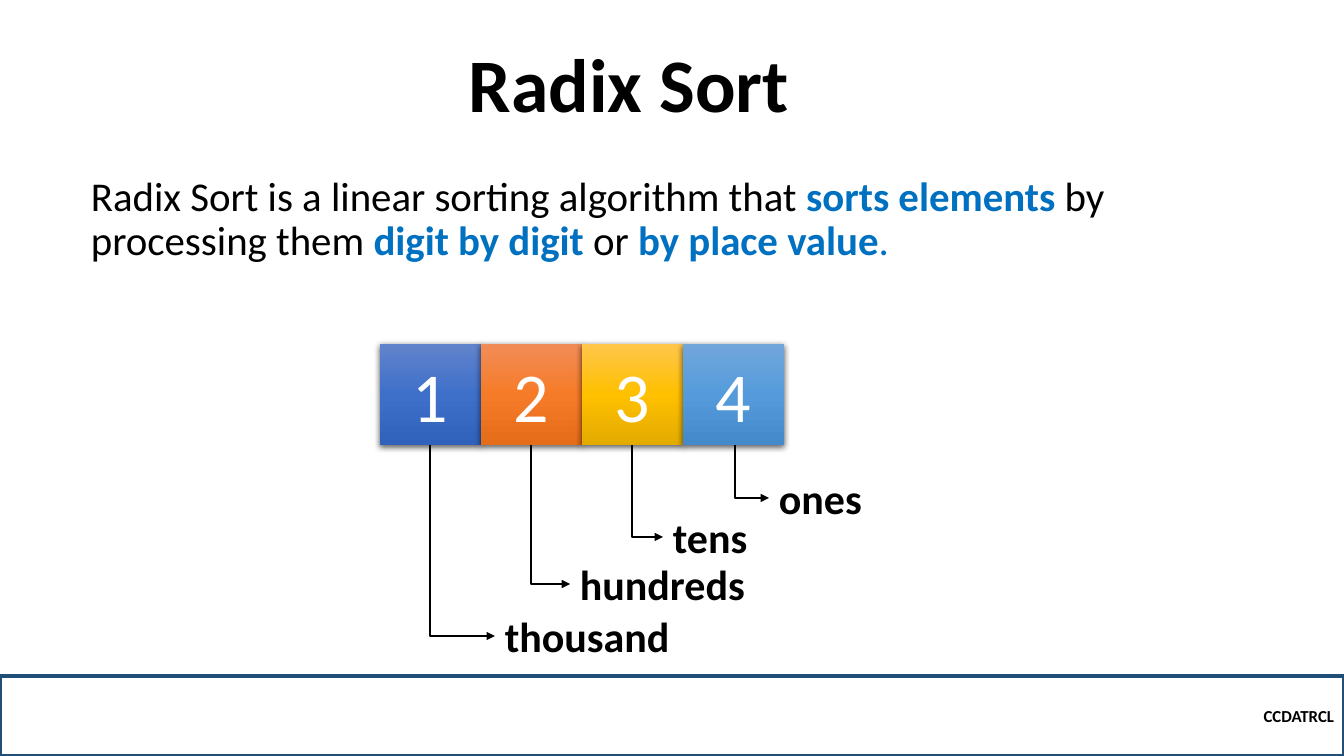
from dataclasses import dataclass

from lxml.etree import SubElement
from pptx import Presentation
from pptx.dml.color import RGBColor
from pptx.enum.shapes import MSO_CONNECTOR, MSO_SHAPE
from pptx.enum.text import MSO_ANCHOR, PP_ALIGN
from pptx.oxml import parse_xml
from pptx.oxml.ns import nsdecls, qn
from pptx.util import Emu, Pt


@dataclass(frozen=True)
class Theme:
    """Font, colours and type sizes of the slide."""
    font: str = "Calibri"
    black: str = "000000"
    white: str = "FFFFFF"
    accent: str = "0070C0"
    footer_line: str = "1F4E79"
    title_size: float = 54
    body_size: float = 29.2
    digit_size: float = 50
    label_size: float = 30
    footer_size: float = 12


theme = Theme()


def pixels(*lengths):
    """Turn pixel lengths into EMU."""
    return [Emu(round(length * 914400 / 100.8)) for length in lengths]


def write(shape, text, size, color, bold=False, align=PP_ALIGN.LEFT, anchor=MSO_ANCHOR.TOP):
    """Fill a shape with one styled paragraph and return the paragraph."""
    frame = shape.text_frame
    frame.word_wrap = True
    frame.vertical_anchor = anchor
    paragraph = frame.paragraphs[0]
    paragraph.text = text
    paragraph.alignment = align
    paragraph.font.name = theme.font
    paragraph.font.size = Pt(size)
    paragraph.font.bold = bold
    paragraph.font.color.rgb = RGBColor.from_string(color)
    return paragraph


presentation = Presentation()
presentation.slide_width, presentation.slide_height = pixels(1344, 756)
slide = presentation.slides.add_slide(presentation.slide_layouts[6])
shapes = slide.shapes

# Title and footer
title = shapes.add_textbox(*pixels(81, 54, 1096, 80))
write(title, "Radix Sort", theme.title_size, theme.black, True,
      PP_ALIGN.CENTER, MSO_ANCHOR.BOTTOM).line_spacing = 0.9

footer = shapes.add_shape(MSO_SHAPE.RECTANGLE, *pixels(0, 676, 1344, 80))
footer.shadow.inherit = False
footer.fill.background()
footer.line.color.rgb = RGBColor.from_string(theme.footer_line)
footer.line.width = Pt(2.25)
write(footer, "CCDATRCL", theme.footer_size, theme.black, True,
      PP_ALIGN.RIGHT, MSO_ANCHOR.MIDDLE)

# Definition
definition = shapes.add_textbox(*pixels(81, 171, 1191, 100))
paragraph = write(definition, "", theme.body_size, theme.black)
paragraph.line_spacing = 0.9
for text, color, bold in (
    ("Radix Sort\u00a0is a linear sorting algorithm that ", theme.black, False),
    ("sorts elements ", theme.accent, True),
    ("by processing them ", theme.black, False),
    ("digit by digit ", theme.accent, True),
    ("or", theme.black, False),
    (" by place value", theme.accent, True),
    (".", theme.accent, False),
):
    run = paragraph.add_run()
    run.text = text
    run.font.bold = bold
    run.font.color.rgb = RGBColor.from_string(color)

# Digit cells: each gradient runs from top to bottom
CELL_LEFT, CELL_TOP, CELL_SIZE = 380, 344, 101
gradients = (
    ("6183CB", "3E70CA", "3062BB"),
    ("F18C57", "F67B28", "E56C19"),
    ("FFC64B", "FFC000", "E3AB00"),
    ("71A6DB", "559BDB", "448ACA"),
)
for index, gradient in enumerate(gradients):
    cell = shapes.add_shape(MSO_SHAPE.RECTANGLE, *pixels(
        CELL_LEFT + index * CELL_SIZE, CELL_TOP, CELL_SIZE, CELL_SIZE))
    cell.line.fill.background()
    stops = "".join(f'<a:gs pos="{50000 * step}"><a:srgbClr val="{color}"/></a:gs>'
                    for step, color in enumerate(gradient))
    properties = cell.element.spPr
    properties.find(qn("a:prstGeom")).addnext(parse_xml(
        f'<a:gradFill {nsdecls("a")}><a:gsLst>{stops}</a:gsLst>'
        '<a:lin ang="5400000" scaled="0"/></a:gradFill>'))
    properties.append(parse_xml(
        f'<a:effectLst {nsdecls("a")}><a:outerShdw blurRad="{Pt(4.5)}" dist="{Pt(1.5)}" '
        f'dir="5400000" algn="ctr" rotWithShape="0"><a:srgbClr val="{theme.black}">'
        '<a:alpha val="63000"/></a:srgbClr></a:outerShdw></a:effectLst>'))
    write(cell, str(index + 1), theme.digit_size, theme.white,
          align=PP_ALIGN.CENTER, anchor=MSO_ANCHOR.MIDDLE)

# Place values: an arrow drops from each cell, then turns right to its label
LABEL_HEIGHT = 61
arrow_top = CELL_TOP + CELL_SIZE
for name, arrow_left, label_left, label_middle, label_width in (
    ("ones", 735, 769, 498, 107),
    ("tens", 632, 663, 537, 107),
    ("hundreds", 531, 570, 584, 193),
    ("thousand", 430, 495, 636, 193),
):
    run_length, drop = label_left - arrow_left, label_middle - arrow_top
    # The box lies on its side before the quarter turn about its centre
    left = (arrow_left + label_left - drop) / 2
    top = (arrow_top + label_middle - run_length) / 2
    arrow = shapes.add_connector(
        MSO_CONNECTOR.ELBOW, *pixels(left, top, left + drop, top + run_length))
    arrow.line.color.rgb = RGBColor.from_string(theme.black)
    arrow.line.width = Pt(1.5)
    properties = arrow.element.spPr
    properties.find(qn("a:prstGeom")).set("prst", "bentConnector2")
    transform = properties.find(qn("a:xfrm"))
    transform.set("rot", "16200000")
    transform.set("flipH", "1")
    SubElement(properties.find(qn("a:ln")), qn("a:tailEnd"), type="triangle")
    SubElement(properties, qn("a:effectLst"))

    label = shapes.add_textbox(*pixels(
        label_left, label_middle - LABEL_HEIGHT / 2, label_width, LABEL_HEIGHT))
    write(label, name, theme.label_size, theme.black, True)

presentation.save("out.pptx")
